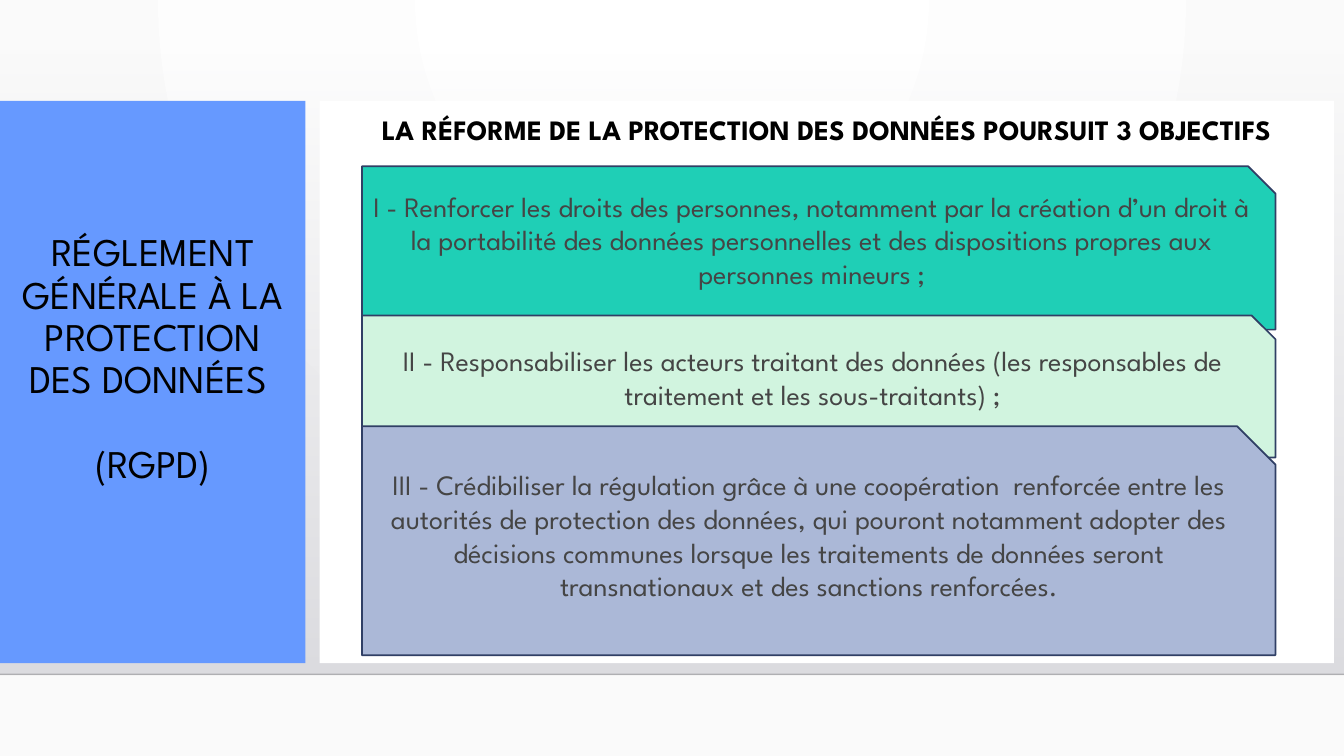
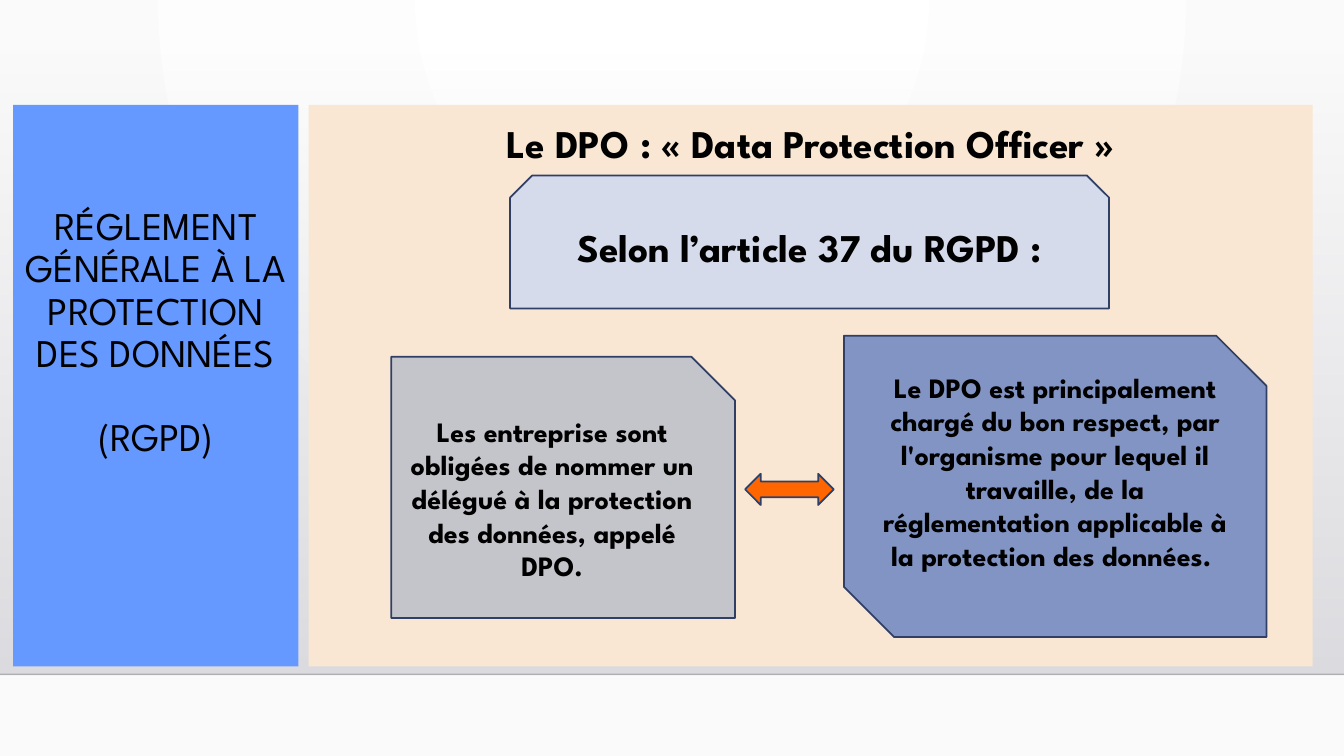
import pptx
import pptx.dml.color
import pptx.enum.shapes
import pptx.enum.text
import pptx.oxml
import pptx.oxml.ns
import pptx.util
import lxml.etree

Inches = pptx.util.Inches
Pt = pptx.util.Pt
Shape = pptx.enum.shapes.MSO_SHAPE
Anchor = pptx.enum.text.MSO_ANCHOR

FONT = "League Spartan"
COLORS = {
    "black": "000000", "ink": "454545", "outline": "303F65", "rule": "000001",
    "white": "FFFFFF", "paper": "FAFAFA", "band_top": "DCDCE0", "band_low": "DEDEE2",
    "title": "6699FF", "cream": "F9E7D3", "teal": "1FCFB6", "mint": "D1F4DF",
    "periwinkle": "ABB8D7", "pale_blue": "D5DBEB", "gray": "C4C4CB",
    "slate": "8294C3", "orange": "FF6600",
}
REGULATION = "RÉGLEMENT GÉNÉRALE À LA PROTECTION DES DONNÉES"
RAISED = 0.35  # bottom inset that lifts centred text

OBJECTIVES = [
    (1.65, 1.62, "teal",
     "I - Renforcer les droits des personnes, notamment par la création d’un droit à "
     "la portabilité des données personnelles et des dispositions propres aux "
     "personnes mineurs ;"),
    (3.13, 1.41, "mint",
     "II - Responsabiliser les acteurs traitant des données (les responsables de "
     "traitement et les sous-traitants) ;"),
    (4.23, 2.27, "periwinkle",
     "III - Crédibiliser la régulation grâce à une coopération  renforcée entre les "
     "autorités de protection des données, qui pouront notamment adopter des "
     "décisions communes lorsque les traitements de données seront "
     "transnationaux et des sanctions renforcées."),
]


def rgb(name):
    """Return the named colour."""
    return pptx.dml.color.RGBColor.from_string(COLORS[name])


def child(parent, tag, **attributes):
    """Append a drawing element to its parent."""
    node = lxml.etree.SubElement(parent, pptx.oxml.ns.qn(tag))
    for key, value in attributes.items():
        node.set(key, str(value))
    return node


def set_fill(shape, color):
    """Give a shape one solid colour."""
    shape.fill.solid()
    shape.fill.fore_color.rgb = rgb(color)


def set_gradient(fill, first, last):
    """Give a fill two gradient colours running downwards."""
    fill.gradient()
    fill.gradient_angle = 270
    for stop, color, position in zip(fill.gradient_stops, (first, last), (0, 1)):
        stop.color.rgb = rgb(color)
        stop.position = position


def set_opacity(element, percent):
    """Set the opacity of the first colour found in an element."""
    color = next(element.iter(pptx.oxml.ns.qn("a:srgbClr")))
    child(color, "a:alpha", val=percent * 1000)


def write_text(box, text, size=20, color="black", bold=False, spacing=1.0,
               before=0, gap=0, anchor=Anchor.MIDDLE, top=0.05, bottom=0.05):
    """Write centred paragraphs, one for each line of the text."""
    frame = box.text_frame
    frame.word_wrap = True
    frame.auto_size = pptx.enum.text.MSO_AUTO_SIZE.NONE
    frame.vertical_anchor = anchor
    frame.margin_left = frame.margin_right = Inches(0.1)
    frame.margin_top, frame.margin_bottom = Inches(top), Inches(bottom)
    for index, line in enumerate(text.split("\n")):
        para = frame.add_paragraph() if index else frame.paragraphs[0]
        para.alignment = pptx.enum.text.PP_ALIGN.CENTER
        para.line_spacing = spacing
        para.space_before = Pt(gap if index else before)
        span = para.add_run()
        span.text = line
        span.font.name, span.font.size, span.font.bold = FONT, Pt(size), bold
        span.font.color.rgb = rgb(color)


def place(box, left, top, width, height):
    """Move and size a box, in inches."""
    box.left, box.top = Inches(left), Inches(top)
    box.width, box.height = Inches(width), Inches(height)


def add_box(page, kind, area, fill, text="", **style):
    """Add an outlined shape, with text if there is any."""
    box = page.shapes.add_shape(kind, *map(Inches, area))
    box.shadow.inherit = False
    set_fill(box, fill)
    box.line.color.rgb = rgb("outline")
    box.line.width = Pt(1.25)
    if text:
        write_text(box, text, **style)


def add_page(deck, title, title_area, title_inset, heading, heading_area,
             panel, heading_size):
    """Add a slide with a title column and a headed panel."""
    page = deck.slides.add_slide(deck.slide_layouts[1])
    column, body = page.shapes.title, page.placeholders[1]
    place(column, *title_area)
    set_fill(column, "title")
    write_text(column, title, size=28, spacing=0.9, gap=30,
               anchor=Anchor.TOP, top=title_inset)
    place(body, *heading_area)
    set_fill(body, panel)
    write_text(body, heading, size=heading_size, bold=True, spacing=1.2,
               before=10, anchor=Anchor.TOP)
    properties = body.text_frame.paragraphs[0]._p.get_or_add_pPr()
    properties.set("marL", "0")
    properties.set("indent", "0")
    child(properties, "a:buNone")
    return page


def decorate_master(deck, page):
    """Put the background, the gray band and its rule on the master."""
    master = deck.slide_master
    set_gradient(master.background.fill, "white", "paper")
    linear = next(master.element.iter(pptx.oxml.ns.qn("a:lin")))
    gradient = linear.getparent()
    gradient.remove(linear)
    circle = child(gradient, "a:path", path="circle")
    child(circle, "a:fillToRect", l=43000, t=0, r=43000, b=100000)

    band = page.shapes.add_shape(Shape.RECTANGLE, 0, Inches(0.51),
                                 deck.slide_width, Inches(6.18))
    band.shadow.inherit = False
    band.line.fill.background()
    set_gradient(band.fill, "band_top", "band_low")
    set_opacity(band.element, 0)

    rule = page.shapes.add_connector(pptx.enum.shapes.MSO_CONNECTOR.STRAIGHT, 0,
                                     Inches(6.69), deck.slide_width, Inches(6.69))
    rule.line.color.rgb = rgb("rule")
    rule.line.width = Pt(1)
    set_opacity(rule.element, 20)
    child(rule.element.spPr, "a:effectLst")

    for index, item in enumerate((band, rule), start=2):
        master.shapes.element.insert(index, item.element)


def build_objectives(deck):
    """Build the slide on the three objectives."""
    page = add_page(deck, REGULATION + " \n(RGPD)", (0, 1, 3.03, 5.58), 1.31,
                    "LA RÉFORME DE LA PROTECTION DES DONNÉES POURSUIT 3 OBJECTIFS",
                    (3.17, 1, 10.06, 5.58), "white", 20)
    for top, height, fill, text in OBJECTIVES:
        add_box(page, Shape.SNIP_1_RECTANGLE, (3.59, top, 9.06, height), fill,
                text, color="ink", bottom=RAISED)
    return page


def build_officer(deck):
    """Build the slide on the data protection officer."""
    page = add_page(deck, REGULATION + "\n(RGPD)", (0.13, 1.04, 2.83, 5.57), 1.01,
                    "Le DPO : «\u00a0Data Protection Officer\u00a0»",
                    (3.06, 1.04, 9.96, 5.57), "cream", 28)
    add_box(page, Shape.SNIP_2_SAME_RECTANGLE, (5.06, 1.74, 5.94, 1.32), "pale_blue",
            "Selon l’article 37 du RGPD :", size=28, bold=True, bottom=0.07)
    add_box(page, Shape.SNIP_1_RECTANGLE, (3.88, 3.54, 3.41, 2.59), "gray",
            "Les entreprise sont obligées de nommer un délégué à la protection "
            "des données, appelé DPO.", bold=True)
    add_box(page, Shape.SNIP_2_DIAG_RECTANGLE, (8.37, 3.33, 4.19, 2.99), "slate",
            "Le DPO est principalement chargé du bon respect, par l'organisme pour "
            "lequel il travaille, de la réglementation applicable à la protection "
            "des données. ", bold=True, bottom=RAISED)
    add_box(page, Shape.LEFT_RIGHT_ARROW, (7.39, 4.7, 0.88, 0.31), "orange")


def main():
    """Build and save the deck."""
    deck = pptx.Presentation()
    deck.slide_width, deck.slide_height = Inches(13.33), Inches(7.5)
    page = build_objectives(deck)
    decorate_master(deck, page)
    build_officer(deck)
    deck.save("out.pptx")


main()
